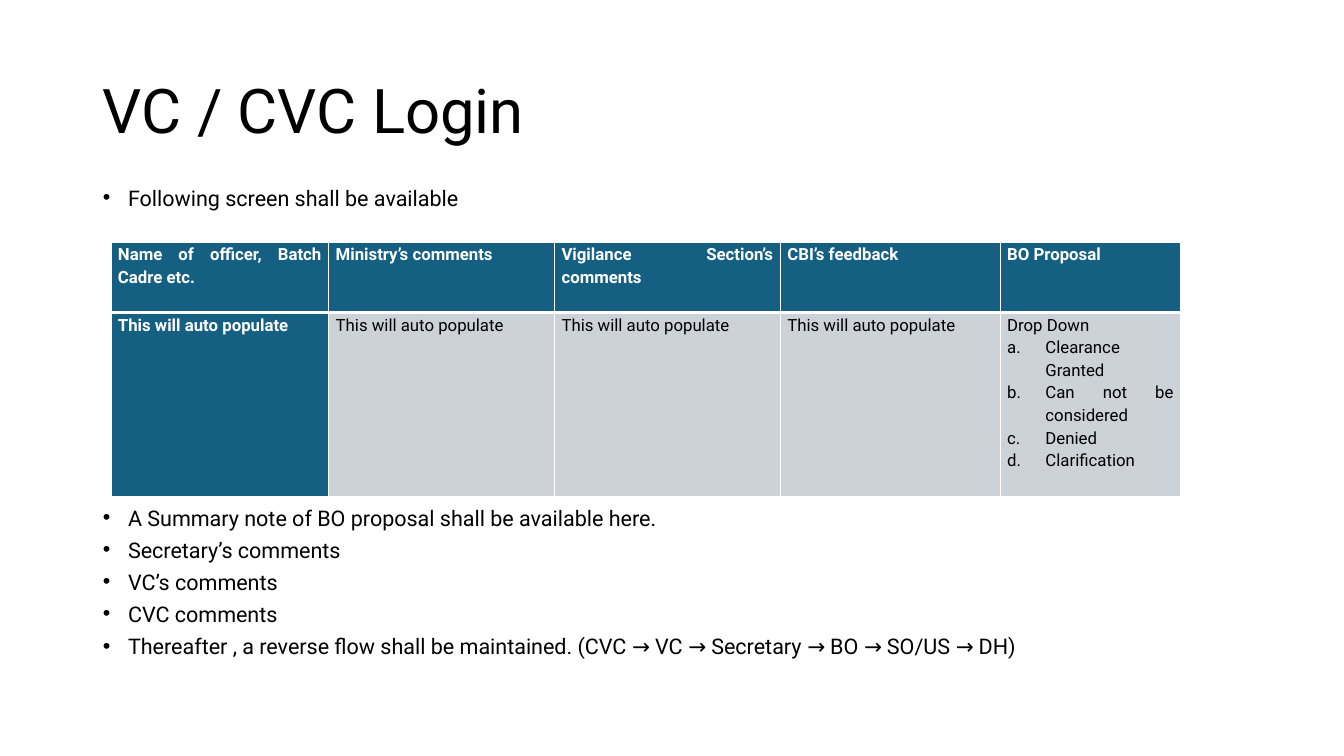
from lxml.etree import SubElement
from pptx import Presentation
from pptx.dml.color import RGBColor
from pptx.enum.text import MSO_ANCHOR as Anchor, MSO_AUTO_SIZE as AutoSize, PP_ALIGN as Align
from pptx.oxml.ns import qn
from pptx.util import Inches, Pt

BLACK = RGBColor(0x00, 0x00, 0x00)
WHITE = RGBColor(0xFF, 0xFF, 0xFF)
TEAL = RGBColor(0x15, 0x60, 0x82)
GREY = RGBColor(0xCC, 0xD2, 0xD8)
FONT = "Roboto"

INTRO = "Following screen shall be available"
STEPS = [
    "A Summary note of BO proposal shall be available here.",
    "Secretary’s comments",
    "VC’s comments",
    "CVC comments",
    "Thereafter , a reverse flow shall be maintained. (CVC → VC → Secretary → BO → SO/US → DH)",
]
HEADINGS = [
    "Name of officer, Batch Cadre etc.",
    "Ministry’s comments",
    "Vigilance Section’s comments",
    "CBI’s feedback",
    "BO Proposal",
]
AUTO = "This will auto populate"
CHOICES = ["Clearance Granted", "Can not be considered", "Denied", "Clarification"]
COLUMN_WIDTHS = [2.16, 2.24, 2.24, 2.18, 1.79]
ROW_HEIGHTS = [0.7, 1.83]


def place(part, box):
    part.left, part.top, part.width, part.height = (Inches(length) for length in box)


def write(paragraph, text, size, color, bold=False):
    run = paragraph.add_run()
    run.text = text
    run.font.name = FONT
    run.font.size = Pt(size)
    run.font.bold = bold
    run.font.color.rgb = color


def add_bullet(paragraph, indent, tag, **marker):
    properties = paragraph._p.get_or_add_pPr()
    properties.set("marL", str(Inches(indent)))
    properties.set("indent", str(-Inches(indent)))
    SubElement(properties, qn("a:buFont"), typeface="Arial" if tag == "a:buChar" else FONT)
    SubElement(properties, qn(tag), **marker)


def add_title(slide, box):
    title = slide.shapes.title
    place(title, box)
    frame = title.text_frame
    frame.auto_size = AutoSize.NONE
    frame.vertical_anchor = Anchor.MIDDLE
    heading = frame.paragraphs[0]
    heading.alignment = Align.LEFT
    heading.line_spacing = 0.9
    write(heading, "VC / CVC Login", 44, BLACK)


def add_body(slide, box):
    body = slide.placeholders[1]
    place(body, box)
    frame = body.text_frame
    frame.auto_size = AutoSize.NONE
    frame.vertical_anchor = Anchor.TOP
    for index, point in enumerate([INTRO] + STEPS):
        paragraph = frame.add_paragraph() if index else frame.paragraphs[0]
        paragraph.alignment = Align.LEFT
        paragraph.line_spacing = 0.7
        paragraph.space_before = Pt(216 if point == STEPS[0] else 10)
        add_bullet(paragraph, 0.25, "a:buChar", char="•")
        write(paragraph, point, 15.4, BLACK)


def add_borders(cell, widths):
    properties = cell._tc.get_or_add_tcPr()
    for index, (side, width) in enumerate(zip("LRTB", widths)):
        line = SubElement(properties, qn(f"a:ln{side}"), w=str(Pt(width)))
        fill = SubElement(line, qn("a:solidFill"))
        SubElement(fill, qn("a:srgbClr"), val=str(WHITE))
        properties.insert(index, line)


def fill_cell(cell, lines, is_heading, borders):
    cell.margin_left = cell.margin_right = Inches(0.07)
    cell.margin_top = cell.margin_bottom = 0
    cell.vertical_anchor = Anchor.TOP
    cell.fill.solid()
    cell.fill.fore_color.rgb = TEAL if is_heading else GREY
    add_borders(cell, borders)
    for index, line in enumerate(lines):
        paragraph = cell.text_frame.add_paragraph() if index else cell.text_frame.paragraphs[0]
        paragraph.alignment = Align.JUSTIFY
        paragraph.line_spacing = 1.15
        if index:
            add_bullet(paragraph, 0.38, "a:buAutoNum", type="alphaLcPeriod")
        write(paragraph, line, 12, WHITE if is_heading else BLACK, is_heading)


def add_screen_table(slide, box):
    rows = [[[heading] for heading in HEADINGS], [[AUTO]] * 4 + [["Drop Down"] + CHOICES]]
    lengths = [Inches(length) for length in box]
    table = slide.shapes.add_table(len(rows), len(HEADINGS), *lengths).table
    for column, width in zip(table.columns, COLUMN_WIDTHS):
        column.width = Inches(width)
    for row, height in zip(table.rows, ROW_HEIGHTS):
        row.height = Inches(height)
    for row_index, row in enumerate(rows):
        borders = (1, 1, 3, 1) if row_index else (1, 1, 1, 3)
        for column_index, lines in enumerate(row):
            is_heading = row_index == 0 or column_index == 0
            fill_cell(table.cell(row_index, column_index), lines, is_heading, borders)


def main():
    deck = Presentation()
    deck.slide_width = Inches(13.33)
    deck.slide_height = Inches(7.5)
    slide = deck.slides.add_slide(deck.slide_layouts[1])
    slide.background.fill.solid()
    slide.background.fill.fore_color.rgb = WHITE
    add_title(slide, (0.92, 0.4, 11.5, 1.45))
    add_body(slide, (0.92, 1.85, 11.5, 4.76))
    add_screen_table(slide, (1.1, 2.4, sum(COLUMN_WIDTHS), sum(ROW_HEIGHTS)))
    deck.save("out.pptx")


if __name__ == "__main__":
    main()
